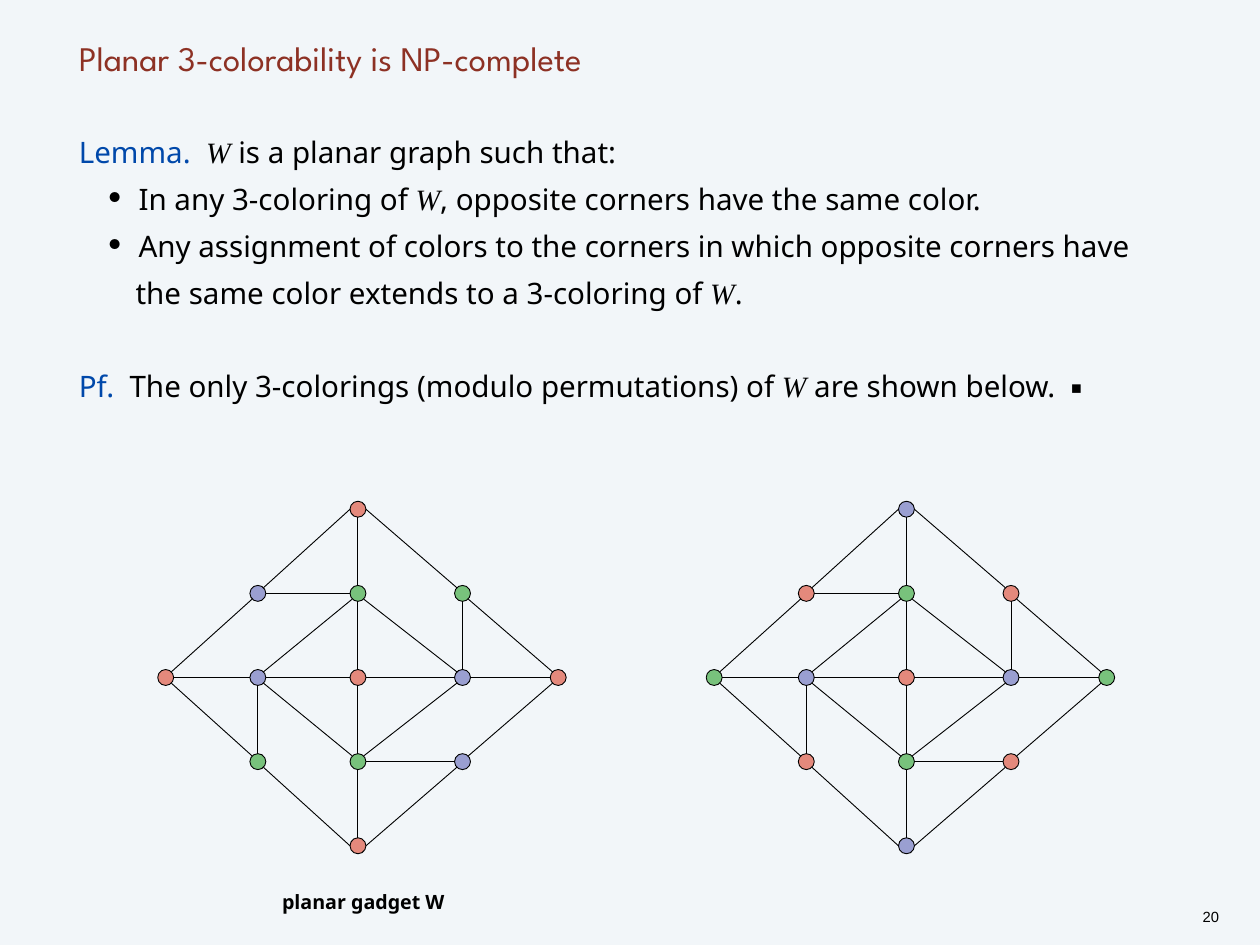
"""Build the slide on planar 3-colorability with its two coloured gadgets."""
from itertools import pairwise

from lxml.etree import SubElement
from pptx import Presentation
from pptx.dml.color import RGBColor
from pptx.enum.shapes import MSO_CONNECTOR, MSO_SHAPE
from pptx.enum.text import MSO_ANCHOR, MSO_AUTO_SIZE, PP_ALIGN
from pptx.oxml.ns import qn
from pptx.util import Inches, Pt

BACKGROUND = RGBColor(0xF2, 0xF6, 0xF9)
BLACK = RGBColor(0, 0, 0)
TITLE_RED = RGBColor(0x8D, 0x31, 0x24)
LABEL_BLUE = RGBColor(0x00, 0x48, 0xAA)
NODE_COLORS = {
    "R": RGBColor(0xD8, 0x1E, 0x00),
    "G": RGBColor(0x00, 0x8F, 0x00),
    "B": RGBColor(0x43, 0x49, 0xAA),
}

PLAIN = {"size": Pt(24), "name": "Noto Sans", "color": BLACK}
LABEL = PLAIN | {"color": LABEL_BLUE}
MATH = PLAIN | {"name": "Times New Roman", "italic": True}
HEADING = {"size": Pt(28), "name": "League Spartan", "color": TITLE_RED}
CAPTION = {"size": Pt(16), "name": "Noto Sans", "color": BLACK, "bold": True}
NUMBER = {"size": Pt(12), "name": "Arial", "color": BLACK}

TITLE = [("Planar 3-colorability is NP-complete", HEADING)]
LEMMA = [("Lemma.  ", LABEL), ("W", MATH), (" is a planar graph such that:", PLAIN)]
CLAIMS = [
    [("In any 3-coloring of ", PLAIN), ("W", MATH),
     (", opposite corners have the same color.", PLAIN)],
    [("Any assignment of colors to the corners in which opposite corners have "
      "the same color extends to a 3-coloring of ", PLAIN), ("W", MATH), (".", PLAIN)],
]
PROOF = [
    ("Pf.  ", LABEL), ("The only 3-colorings (modulo permutations) of ", PLAIN),
    ("W", MATH), (" are shown below.  ▪", PLAIN),
]

NODE_ROWS = ["  A  ", " BCD ", "EFGHI", " JKL ", "  M  "]
EDGE_PATHS = ["ABEJMLIDA", "ACGKM", "EFGHI", "CFKHC", "BC", "KL", "FJ", "DH"]
COLORINGS = [(4.04, "RBGGRBRBRGGBR"), (10.23, "BRGRGBRBGRGRB")]
COLUMN_OFFSETS = [-2.17, -1.13, 0, 1.18, 2.26]
TOP_ROW, ROW_GAP = 5.75, 0.95
RADIUS = 0.09
DIAGONAL = 0.71

NODES = {
    letter: (column, row)
    for row, letters in enumerate(NODE_ROWS)
    for column, letter in enumerate(letters)
    if letter != " "
}


def add_runs(paragraph, runs):
    for text, style in runs:
        run = paragraph.add_run()
        run.text = text
        for attribute, value in style.items():
            if attribute == "color":
                run.font.color.rgb = value
            else:
                setattr(run.font, attribute, value)


def set_paragraph(paragraph, runs, bullet=False, **formats):
    properties = paragraph._p.get_or_add_pPr()
    properties.set("marL", str(Inches(0.64 if bullet else 0)))
    properties.set("indent", str(Inches(-0.5 if bullet else 0)))
    if bullet:
        SubElement(properties, qn("a:buSzPct"), val="160000")
        SubElement(properties, qn("a:buChar"), char="・")
    else:
        SubElement(properties, qn("a:buNone"))
    defaults = {"line_spacing": Pt(38), "space_before": Pt(0), "alignment": PP_ALIGN.LEFT}
    for attribute, value in (defaults | formats).items():
        setattr(paragraph, attribute, value)
    add_runs(paragraph, runs)


def set_frame(shape, box, margin=0, wrap=True, anchor=MSO_ANCHOR.TOP):
    shape.left, shape.top, shape.width, shape.height = map(Inches, box)
    frame = shape.text_frame
    formats = {"word_wrap": wrap, "vertical_anchor": anchor, "auto_size": MSO_AUTO_SIZE.NONE}
    for side in ("left", "right", "top", "bottom"):
        formats[f"margin_{side}"] = Inches(margin)
    for attribute, value in formats.items():
        setattr(frame, attribute, value)
    return frame


def add_label(slide, box, runs, line_spacing, **frame_formats):
    shape = slide.shapes.add_textbox(0, 0, 0, 0)
    frame = set_frame(shape, box, **frame_formats)
    set_paragraph(frame.paragraphs[0], runs, line_spacing=line_spacing,
                  alignment=PP_ALIGN.CENTER)


def node_center(letter, center):
    column, row = NODES[letter]
    return center + COLUMN_OFFSETS[column], TOP_ROW + row * ROW_GAP


def rim_point(letter, neighbor, center):
    x, y = node_center(letter, center)
    next_x, next_y = node_center(neighbor, center)
    step_x = (next_x > x) - (next_x < x)
    step_y = (next_y > y) - (next_y < y)
    if step_x and letter in "AM":
        step_y = 0
    reach = RADIUS * (DIAGONAL if step_x and step_y else 1)
    return Inches(x + step_x * reach), Inches(y + step_y * reach)


def set_outline(shape):
    shape.line.color.rgb = BLACK
    shape.line.width = Pt(0.75)


def add_gadget(slide, center, colors):
    shapes = slide.shapes.add_group_shape().shapes
    for edge_path in EDGE_PATHS:
        for start, end in pairwise(edge_path):
            edge = shapes.add_connector(
                MSO_CONNECTOR.STRAIGHT,
                *rim_point(start, end, center), *rim_point(end, start, center))
            set_outline(edge)
            SubElement(edge._element.spPr, qn("a:effectLst"))
    for letter, color in zip(NODES, colors):
        x, y = node_center(letter, center)
        node = shapes.add_shape(
            MSO_SHAPE.OVAL, Inches(x - RADIUS), Inches(y - RADIUS),
            Inches(2 * RADIUS), Inches(2 * RADIUS))
        node.shadow.inherit = False
        node.fill.solid()
        node.fill.fore_color.rgb = NODE_COLORS[color]
        fill_color = node._element.spPr.find(qn("a:solidFill"))[0]
        SubElement(fill_color, qn("a:alpha"), val="50000")
        set_outline(node)


def main():
    presentation = Presentation()
    presentation.slide_width = Inches(14.22)
    presentation.slide_height = Inches(10.67)
    slide = presentation.slides.add_slide(presentation.slide_layouts[1])
    slide.background.fill.solid()
    slide.background.fill.fore_color.rgb = BACKGROUND

    title = set_frame(slide.shapes.title, (0.89, 0, 12.44, 0.89), anchor=MSO_ANCHOR.BOTTOM)
    set_paragraph(title.paragraphs[0], TITLE)

    body = set_frame(slide.placeholders[1], (0.89, 1.39, 12.44, 8.94))
    set_paragraph(body.paragraphs[0], LEMMA)
    for claim in CLAIMS:
        set_paragraph(body.add_paragraph(), claim, bullet=True, level=1)
    set_paragraph(body.add_paragraph(), PROOF, space_before=Pt(38))

    for center, colors in COLORINGS:
        add_gadget(slide, center, colors)
    add_label(slide, (2.89, 9.97, 2.42, 0.25), [("planar gadget W", CAPTION)], 1.3)
    add_label(slide, (13.51, 10.22, 0.31, 0.24), [("20", NUMBER)], Pt(14),
              margin=0.04, wrap=False)
    presentation.save("out.pptx")


if __name__ == "__main__":
    main()
